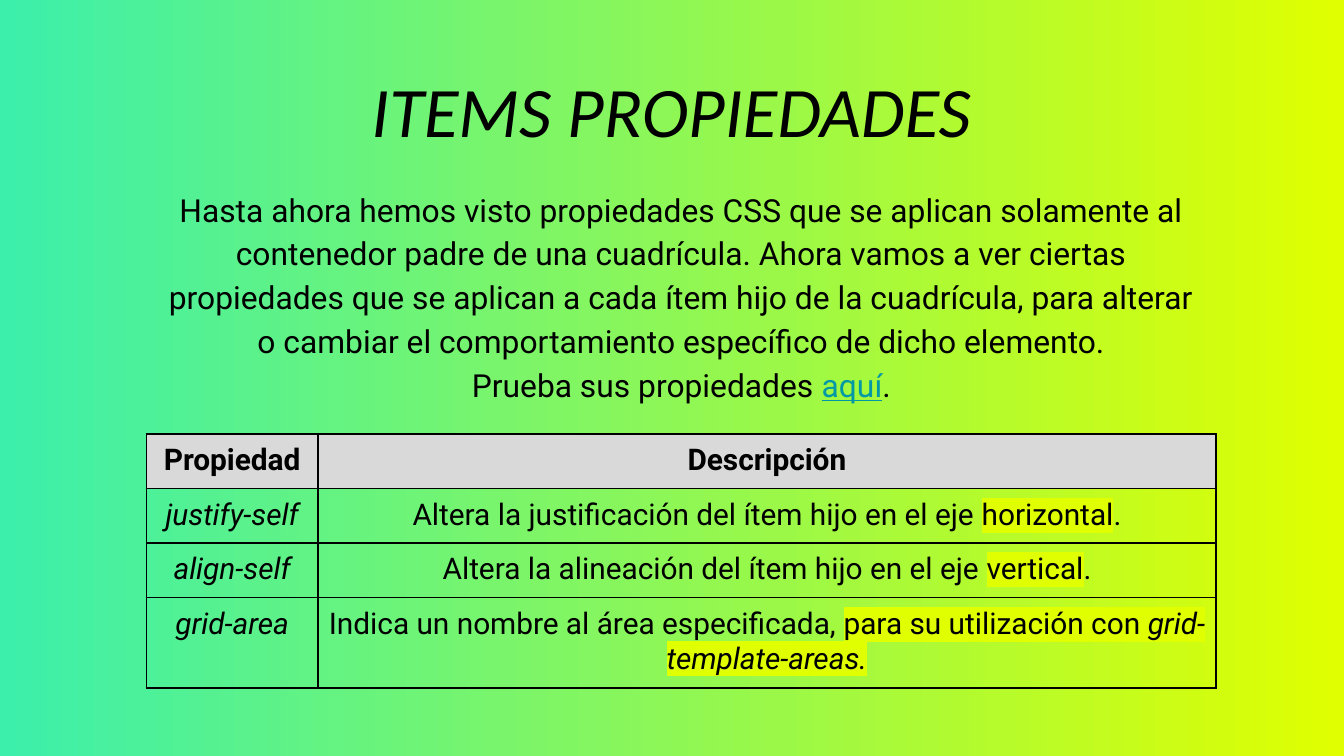
from lxml.etree import SubElement
from pptx import Presentation
from pptx.dml.color import RGBColor
from pptx.enum.text import MSO_ANCHOR, PP_ALIGN
from pptx.oxml import parse_xml
from pptx.oxml.ns import nsdecls, qn
from pptx.util import Pt

BLACK, LIME, MINT, GREY, TEAL = "000000", "E0FF00", "3CEFAB", "D9D9D9", "0097A7"


def color(value):
    return RGBColor.from_string(value)


def add_run(paragraph, text, size=16, font="Roboto", ink=BLACK, bold=False,
            italic=False, underline=False, highlight=None):
    run = paragraph.add_run()
    run.text = text
    run.font.size = Pt(size)
    run.font.name = font
    run.font.bold = bold
    run.font.italic = italic
    run.font.underline = underline
    run.font.color.rgb = color(ink)
    if highlight:
        mark = parse_xml(f'<a:highlight {nsdecls("a")}><a:srgbClr val="{highlight}"/></a:highlight>')
        run.font._element.find(qn("a:solidFill")).addnext(mark)


class SlideBuilder:
    """Holds the current slide and its shared style."""

    cell_margin = 5
    border_width = 1

    def __init__(self, presentation):
        self.slide = presentation.slides.add_slide(presentation.slide_layouts[6])

    def background(self, colors, angle):
        fill = self.slide.background.fill
        fill.gradient()
        fill.gradient_angle = angle
        for position, (stop, value) in enumerate(zip(fill.gradient_stops, colors)):
            stop.position = position
            stop.color.rgb = color(value)

    def text(self, left, top, width, height, paragraphs, anchor, margin=7.2, spacing=1.0):
        frame = self.slide.shapes.add_textbox(Pt(left), Pt(top), Pt(width), Pt(height)).text_frame
        frame.word_wrap = True
        frame.vertical_anchor = anchor
        frame.margin_top = frame.margin_bottom = Pt(margin)
        for index, runs in enumerate(paragraphs):
            paragraph = frame.add_paragraph() if index else frame.paragraphs[0]
            paragraph.alignment = PP_ALIGN.CENTER
            paragraph.line_spacing = spacing
            for text, style in runs:
                add_run(paragraph, text, **style)

    def table(self, left, top, widths, heights, rows):
        table = self.slide.shapes.add_table(
            len(rows), len(widths), Pt(left), Pt(top), Pt(sum(widths)), Pt(sum(heights))).table
        table.horz_banding = False
        for column, width in zip(table.columns, widths):
            column.width = Pt(width)
        for row, height, contents in zip(table.rows, heights, rows):
            row.height = Pt(height)
            for cell, runs in zip(row.cells, contents):
                self.cell(cell, runs, GREY if contents is rows[0] else None)

    def cell(self, cell, runs, fill):
        cell.margin_left = cell.margin_right = Pt(self.cell_margin)
        cell.margin_top = cell.margin_bottom = Pt(self.cell_margin)
        paragraph = cell.text_frame.paragraphs[0]
        paragraph.alignment = PP_ALIGN.CENTER
        for text, style in runs:
            add_run(paragraph, text, **style)
        if fill:
            cell.fill.solid()
            cell.fill.fore_color.rgb = color(fill)
        else:
            cell.fill.background()
        # Borders come before the fill in the cell properties
        properties = cell._tc.get_or_add_tcPr()
        for index, side in enumerate("LRTB"):
            line = SubElement(properties, qn(f"a:ln{side}"), w=str(Pt(self.border_width)))
            SubElement(SubElement(line, qn("a:solidFill")), qn("a:srgbClr"), val=BLACK)
            properties.insert(index, line)


def main():
    presentation = Presentation()
    presentation.slide_width = Pt(720)
    presentation.slide_height = Pt(405)
    builder = SlideBuilder(presentation)
    builder.background([LIME, MINT], 180)

    # Title
    title = {"size": 38, "font": "Calibri", "italic": True}
    builder.text(50.4, 18, 618.5, 63, [[("ITEMS PROPIEDADES", title)]],
                 MSO_ANCHOR.BOTTOM, margin=0)

    # Introduction
    body = {"size": 17}
    link = {"size": 17, "ink": TEAL, "underline": True}
    introduction = (
        "Hasta ahora hemos visto propiedades CSS que se aplican solamente al contenedor padre "
        "de una cuadrícula. Ahora vamos a ver ciertas propiedades que se aplican a cada ítem "
        "hijo de la cuadrícula, para alterar o cambiar el comportamiento específico de dicho "
        "elemento.")
    builder.text(78.5, 102.2, 573.1, 110.9, [
        [(introduction, body)],
        [("Prueba sus propiedades ", body), ("aquí", link), (".", body)],
    ], MSO_ANCHOR.MIDDLE, spacing=1.15)

    # Property table
    plain, bold, italic = {}, {"bold": True}, {"italic": True}
    marked = {"highlight": LIME}
    rows = [
        [[("Propiedad", bold)], [("Descripción", bold)]],
        [[("justify-self", italic)],
         [("Altera la justificación del ítem hijo en el eje ", plain),
          ("horizontal", marked), (".", plain)]],
        [[("align-self", italic)],
         [("Altera la alineación del ítem hijo en el eje ", plain),
          ("vertical", marked), (".", plain)]],
        [[("grid-area", italic)],
         [("Indica un nombre al área especificada, ", plain),
          ("para su utilización con ", marked),
          ("grid-template-areas.", {**marked, **italic})]],
    ]
    builder.table(78.5, 232.5, [91.8, 481.2], [28.6] * 3 + [47], rows)

    presentation.save("out.pptx")


if __name__ == "__main__":
    main()
